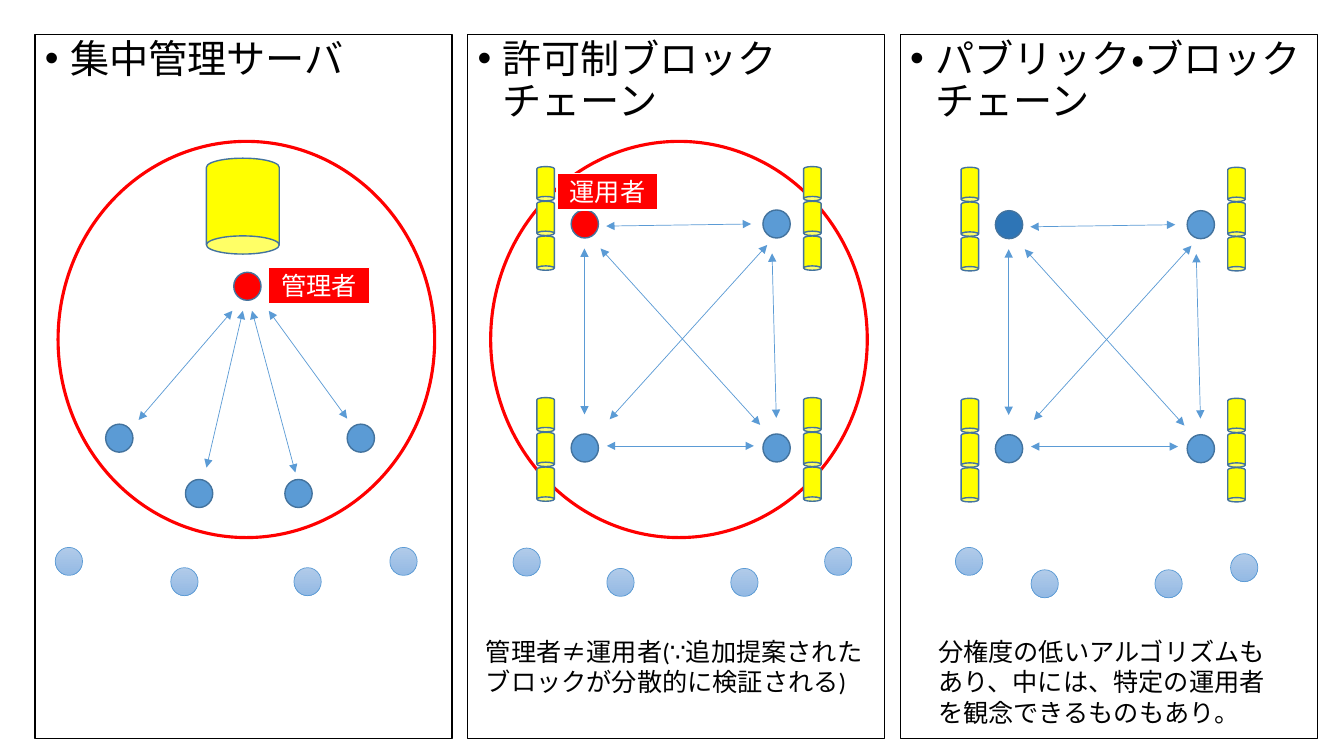
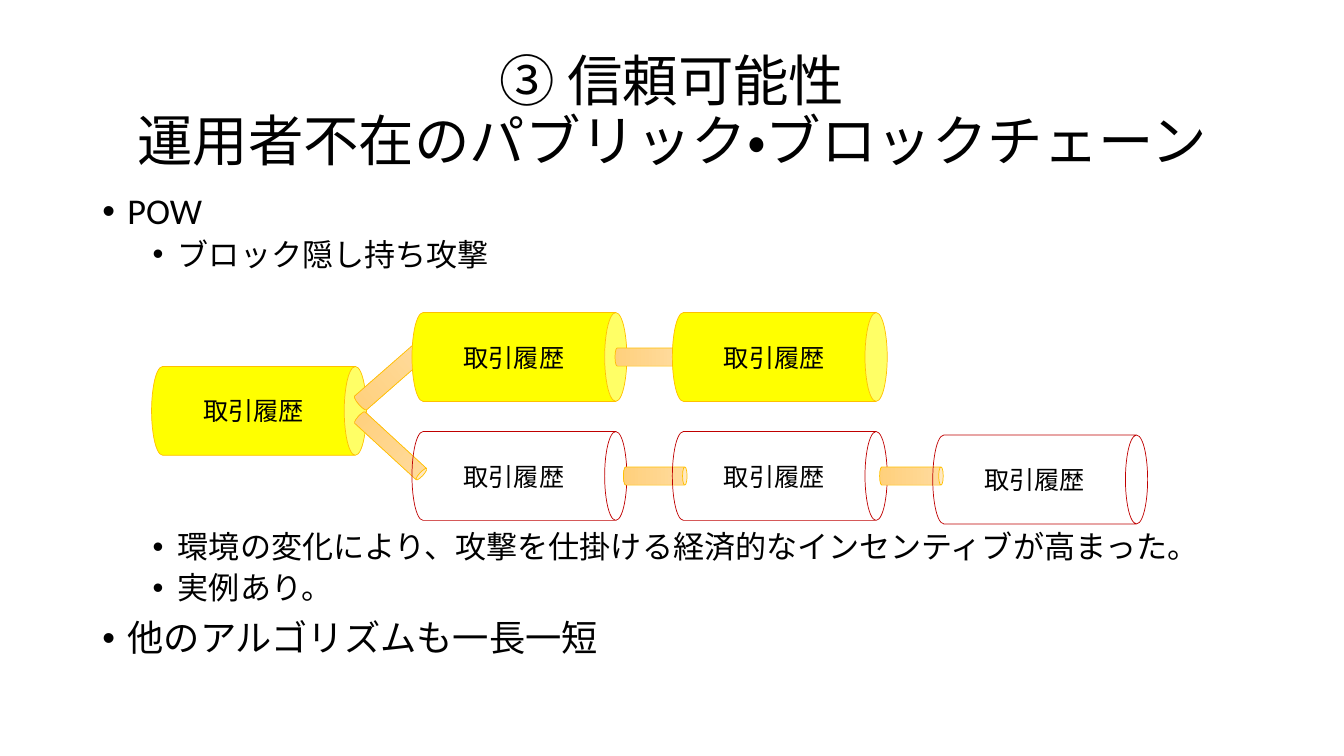
"""Build two slides comparing ledger designs and a block-withholding attack."""
from dataclasses import dataclass, field
from typing import Any, NamedTuple, Optional

from lxml.etree import SubElement
from pptx import Presentation
from pptx.dml.color import RGBColor
from pptx.enum.lang import MSO_LANGUAGE_ID
from pptx.enum.shapes import MSO_CONNECTOR, MSO_SHAPE
from pptx.enum.text import MSO_ANCHOR, MSO_AUTO_SIZE, PP_ALIGN
from pptx.oxml.ns import qn
from pptx.util import Pt

FONT = "Calibri"
BLACK, WHITE, RED, YELLOW = "000000", "FFFFFF", "FF0000", "FFFF00"
BLUE, DEEP_BLUE, OUTLINE = "5B9BD5", "2E75B6", "43739E"
GOLD, CRIMSON = "FFC000", "C00000"
PALE_BLUE = ("B1CBE9", "93B9E4")
PALE_GOLD = ("FFDB9E", "FFD07C")

TOP_FRAME = {"word_wrap": True, "vertical_anchor": MSO_ANCHOR.TOP}
MIDDLE_FRAME = {"word_wrap": True, "vertical_anchor": MSO_ANCHOR.MIDDLE}
NOTE_FRAME = {**TOP_FRAME, "auto_size": MSO_AUTO_SIZE.SHAPE_TO_FIT_TEXT}
CENTRED = {"alignment": PP_ALIGN.CENTER}
LEFT = {"alignment": PP_ALIGN.LEFT}
TITLE = {**CENTRED, "line_spacing": 0.9}
TOP_BULLET = {**LEFT, "line_spacing": 0.9, "space_before": Pt(10)}
SUB_BULLET = {**TOP_BULLET, "space_before": Pt(5)}
AFTER_CHAIN = {**TOP_BULLET, "space_before": Pt(185)}

PANEL_LEFT, PANEL_TOP, PANEL_STEP = 25, 24.5, 309
PANEL_WIDTH, PANEL_HEIGHT = 298, 503
NODE_WIDTH, NODE_HEIGHT = 19.5, 20


class Box(NamedTuple):
    """Left, top, width and height in points."""
    left: float
    top: float
    width: float
    height: float


class Arrow(NamedTuple):
    """Both ends of a double arrow in points."""
    x1: float
    y1: float
    x2: float
    y2: float


@dataclass
class Line:
    """A paragraph with its size, colour, format and bullet indent."""
    text: str
    size: float = 18
    ink: str = BLACK
    style: dict[str, Any] = field(default_factory=lambda: LEFT)
    indent: float = 0


@dataclass
class Panel:
    """A ledger design with the outsiders below it."""
    title: str
    outsiders: list[tuple[float, float]]
    mesh: Optional[tuple[float, float]] = None
    lead: str = RED
    circled: bool = True
    label: Optional[tuple[str, float, float]] = None
    note: str = ""
    note_left: float = 0
    note_width: float = 0


@dataclass
class Barrel:
    """A turned can, given by its centre."""
    x: float
    y: float
    width: float = 63.5
    height: float = 153.5
    turn: float = 90
    fill: Any = YELLOW
    line: str = GOLD
    text: str = "取引履歴"


PANELS = [
    Panel("集中管理サーバ",
          [(14.5, 391), (97, 405.5), (185, 405.5), (253.5, 391)],
          label=("管理者", 167, 191)),
    Panel("許可制ブロックチェーン",
          [(32.5, 391.5), (99.5, 406), (188, 406), (255, 391)],
          mesh=(49.5, 119), label=("運用者", 64, 124),
          note="管理者≠運用者(∵追加提案されたブロックが分散的に検証される)",
          note_left=6, note_width=286),
    Panel("パブリック・ブロックチェーン",
          [(39.5, 391), (93.5, 407), (182, 407), (236, 395.5)],
          mesh=(43.5, 119.5), lead=DEEP_BLUE, circled=False,
          note="分権度の低いアルゴリズムもあり、中には、特定の運用者を観念できるものもあり。",
          note_left=20, note_width=261.5),
]
STAR_NODES = [(50.5, 303), (107.5, 342.5), (178.5, 342.5), (223, 303)]
STAR_ARROWS = [Arrow(155, 222, 186, 337.5), Arrow(148.5, 222, 122.5, 334),
               Arrow(141, 222, 74, 300), Arrow(167, 222, 223, 299)]
MESH_ARROWS = [Arrow(49.5, 42.5, 153, 41), Arrow(168, 62, 171, 179.5),
               Arrow(52, 180.5, 164.5, 56), Arrow(50, 199.5, 155, 199.5),
               Arrow(34, 58.5, 34, 177), Arrow(159.5, 184.5, 45.5, 58.5)]


def block(column: int, y: float, hidden: bool = False) -> Barrel:
    """Return one block of the open or the hidden chain."""
    fill, line = (None, CRIMSON) if hidden else (YELLOW, GOLD)
    return Barrel(185 + 186 * column, y, fill=fill, line=line)


def link(x: float, y: float, width: float = 13, length: float = 45.5, turn: float = 90) -> Barrel:
    """Return one link between two blocks."""
    return Barrel(x, y, width, length, turn, PALE_GOLD, GOLD, "")


CHAIN = [
    block(0, 293.5), link(278.5, 269.5, length=59, turn=48.8),
    block(1, 255), link(462, 255), block(2, 255),
    link(279, 318.5, 11, 62.5, 132.6),
    block(1, 340, True), link(468, 340),
    block(2, 340, True), link(651, 340), block(3, 342.5, True),
]


def colour(code: str) -> RGBColor:
    """Turn a hex string into a colour."""
    return RGBColor.from_string(code)


def apply(target: Any, values: dict[str, Any]) -> None:
    """Set each format value on the target."""
    for name, value in values.items():
        setattr(target, name, value)


def write(frame: Any, lines: list[Line], frame_style: dict[str, Any]) -> None:
    """Fill a text frame with paragraphs."""
    apply(frame, frame_style)
    for index, line in enumerate(lines):
        para = frame.add_paragraph() if index else frame.paragraphs[0]
        para.text = line.text
        apply(para, line.style)
        for span in para.runs:
            apply(span.font, {"name": FONT, "size": Pt(line.size),
                              "language_id": MSO_LANGUAGE_ID.JAPANESE})
            span.font.color.rgb = colour(line.ink)
        if line.indent:
            props = para._p.get_or_add_pPr()
            props.set("marL", str(Pt(line.indent)))
            props.set("indent", str(Pt(-18)))
            SubElement(props, qn("a:buFont"), typeface="Arial")
            SubElement(props, qn("a:buChar"), char="•")


def add_text(page: Any, box: Box, lines: list[Line], frame_style: dict[str, Any]) -> None:
    """Add a plain text box."""
    write(page.shapes.add_textbox(*map(Pt, box)).text_frame, lines, frame_style)


def add_figure(page: Any, kind: MSO_SHAPE, box: Box, fill: Any, line: str, weight: float = 1) -> Any:
    """Add a preset shape with a plain, graded or missing fill."""
    shape = page.shapes.add_shape(kind, *map(Pt, box))
    shape.shadow.inherit = False
    if fill is None:
        shape.fill.background()
    elif isinstance(fill, tuple):
        shape.fill.gradient()
        shape.fill.gradient_angle = 270
        for stop, code in zip(shape.fill.gradient_stops, fill):
            stop.color.rgb = colour(code)
    else:
        shape.fill.solid()
        shape.fill.fore_color.rgb = colour(fill)
    shape.line.color.rgb = colour(line)
    shape.line.width = Pt(weight)
    return shape


def add_node(page: Any, x: float, y: float, fill: Any = BLUE, line: str = OUTLINE, weight: float = 1) -> None:
    """Add one participant."""
    add_figure(page, MSO_SHAPE.OVAL, Box(x, y, NODE_WIDTH, NODE_HEIGHT), fill, line, weight)


def add_store(page: Any, box: Box) -> None:
    """Add a yellow can with its lid at the bottom."""
    can = add_figure(page, MSO_SHAPE.CAN, box, YELLOW, OUTLINE)
    can.element.spPr.xfrm.set("flipV", "1")


def add_arrows(page: Any, arrows: list[Arrow], left: float, top: float) -> None:
    """Add thin arrows with a head at both ends."""
    for arrow in arrows:
        connector = page.shapes.add_connector(
            MSO_CONNECTOR.STRAIGHT, Pt(left + arrow.x1), Pt(top + arrow.y1),
            Pt(left + arrow.x2), Pt(top + arrow.y2))
        connector.line.color.rgb = colour(BLUE)
        connector.line.width = Pt(0.5)
        props = connector.element.spPr
        for end in ("a:headEnd", "a:tailEnd"):
            SubElement(props.find(qn("a:ln")), qn(end), type="triangle")
        SubElement(props, qn("a:effectLst"))


def draw_star(page: Any, left: float) -> None:
    """Draw a server whose administrator serves four nodes."""
    add_store(page, Box(left + 122.5, 113, 52, 68.5))
    add_node(page, left + 142, 194.5, RED)
    for x, y in STAR_NODES:
        add_node(page, left + x, y)
    add_arrows(page, STAR_ARROWS, left, 0)


def draw_mesh(page: Any, left: float, top: float, lead: str) -> None:
    """Draw four linked nodes, each with its own chain of three."""
    for row in range(2):
        for column in range(2):
            for step in reversed(range(3)):
                add_store(page, Box(left + 190.5 * column, top + 165 * row + 24.8 * step, 12.5, 24.5))
            fill = BLUE if row or column else lead
            add_node(page, left + 24.5 + 137 * column, top + 31 + 160 * row, fill)
    add_arrows(page, MESH_ARROWS, left, top)


def draw_panel(page: Any, panel: Panel, left: float) -> None:
    """Draw one framed ledger design."""
    frame = add_figure(page, MSO_SHAPE.RECTANGLE, Box(left, PANEL_TOP, PANEL_WIDTH, PANEL_HEIGHT), WHITE, BLACK)
    write(frame.text_frame, [Line(panel.title, 28, style=TOP_BULLET, indent=18)], TOP_FRAME)
    if panel.circled:
        add_figure(page, MSO_SHAPE.OVAL, Box(left + 16.5, 101, 269, 283), WHITE, RED, 2.25)
    if panel.mesh:
        x, y = panel.mesh
        draw_mesh(page, left + x, y, panel.lead)
    else:
        draw_star(page, left)
    for x, y in panel.outsiders:
        add_node(page, left + x, y, PALE_BLUE, BLUE, 0.5)
    if panel.label:
        text, x, y = panel.label
        tag = add_figure(page, MSO_SHAPE.RECTANGLE, Box(left + x, y, 72, 26), RED, WHITE)
        write(tag.text_frame, [Line(text, ink=WHITE, style=CENTRED)], MIDDLE_FRAME)
    if panel.note:
        add_text(page, Box(left + panel.note_left, 451, panel.note_width, 73), [Line(panel.note)], NOTE_FRAME)


def draw_barrel(page: Any, barrel: Barrel) -> None:
    """Draw one block or link of the chain."""
    box = Box(barrel.x - barrel.width / 2, barrel.y - barrel.height / 2, barrel.width, barrel.height)
    can = add_figure(page, MSO_SHAPE.CAN, box, barrel.fill, barrel.line, 0.5)
    can.rotation = barrel.turn
    if barrel.text:
        write(can.text_frame, [Line(barrel.text, style=CENTRED)], MIDDLE_FRAME)
        can.text_frame._txBody.bodyPr.set("vert", "vert270")


def main() -> None:
    """Build and save the deck."""
    deck = Presentation()
    deck.slide_width, deck.slide_height = Pt(960), Pt(540)
    designs, attack = (deck.slides.add_slide(deck.slide_layouts[6]) for _ in range(2))
    for index, panel in enumerate(PANELS):
        draw_panel(designs, panel, PANEL_LEFT + PANEL_STEP * index)
    add_text(attack, Box(66, 29, 828, 104.5),
             [Line("③ 信頼可能性\v運用者不在のパブリック・ブロックチェーン", 39.6, style=TITLE)], MIDDLE_FRAME)
    add_text(attack, Box(66, 134.5, 828, 352), [
        Line("POW", 25.9, style=TOP_BULLET, indent=18),
        Line("ブロック隠し持ち攻撃", 22.2, style=SUB_BULLET, indent=54),
        Line("環境の変化により、攻撃を仕掛ける経済的なインセンティブが高まった。", 22.2,
             style=AFTER_CHAIN, indent=54),
        Line("実例あり。", 22.2, style=SUB_BULLET, indent=54),
        Line("他のアルゴリズムも一長一短", 25.9, style=TOP_BULLET, indent=18),
    ], TOP_FRAME)
    for barrel in CHAIN:
        draw_barrel(attack, barrel)
    deck.save("out.pptx")


if __name__ == "__main__":
    main()
